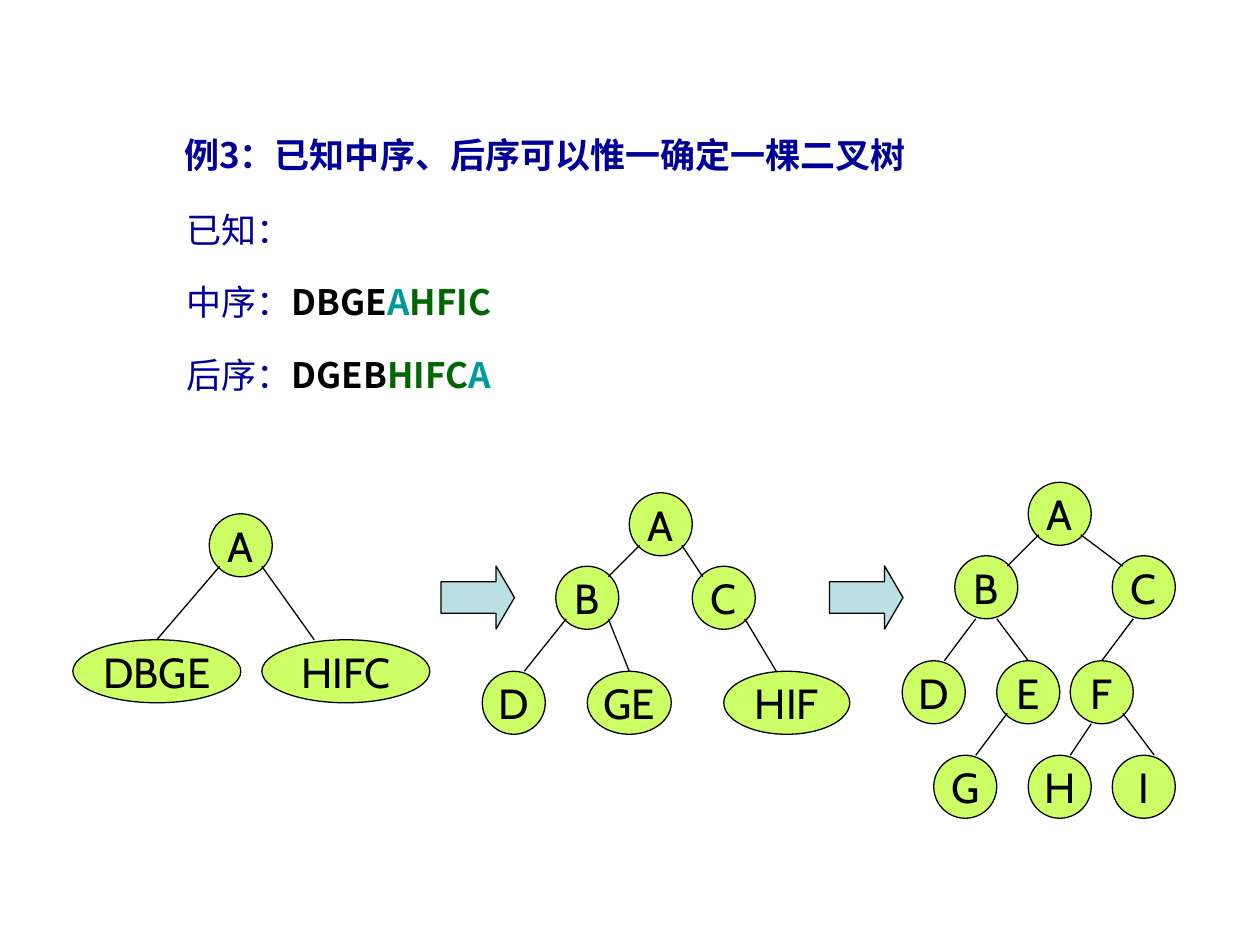
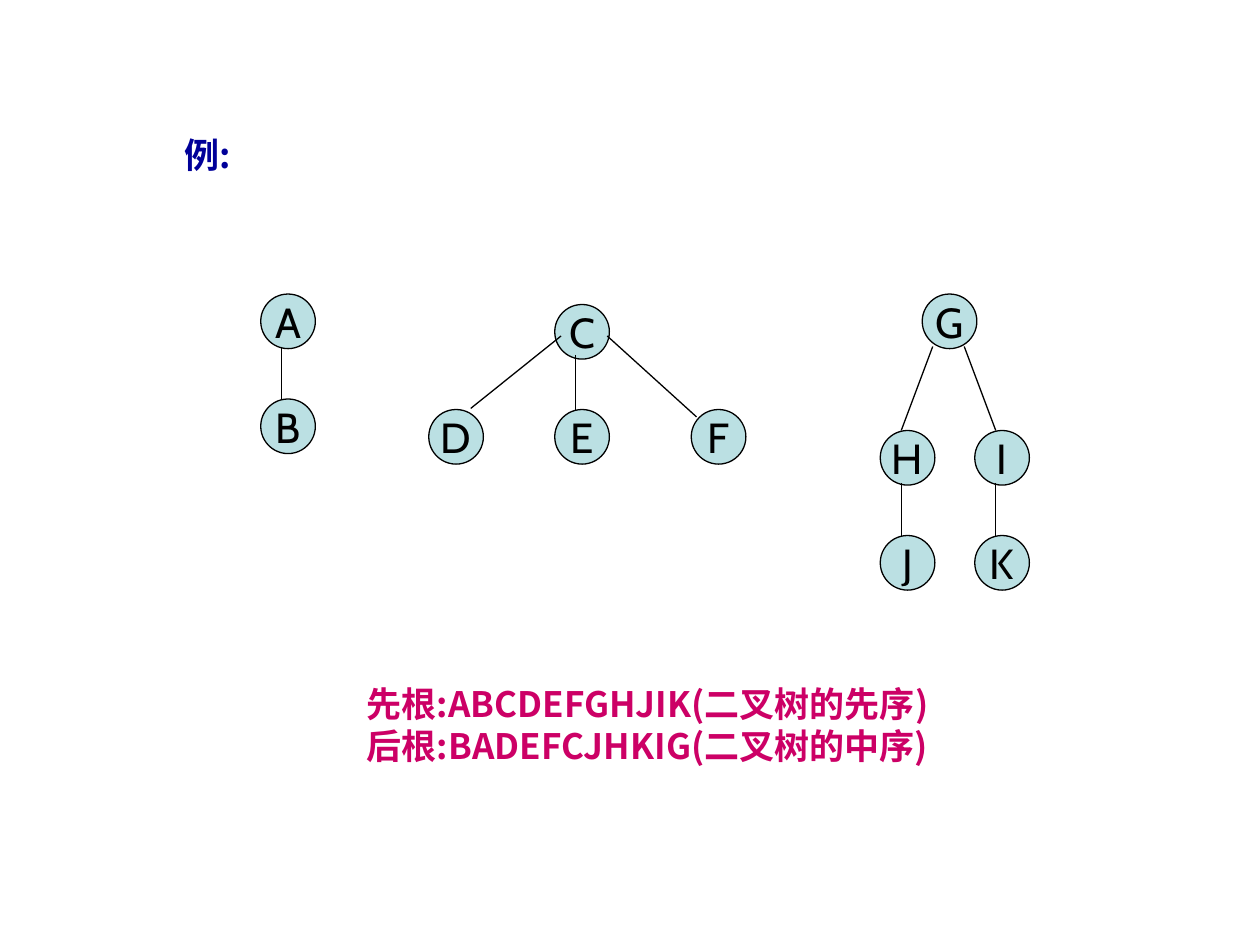
"""Build two slides on determining and traversing binary trees."""
from dataclasses import dataclass

from lxml.etree import SubElement
from pptx import Presentation
from pptx.dml.color import RGBColor
from pptx.enum.shapes import MSO_CONNECTOR as Connector, MSO_SHAPE as Shape
from pptx.enum.text import MSO_ANCHOR as Anchor, MSO_AUTO_SIZE as AutoSize, PP_ALIGN as Align
from pptx.oxml.ns import qn
from pptx.util import Pt


@dataclass(frozen=True)
class Theme:
    """Colours, fonts and sizes shared by the slides."""
    navy: str = "000099"
    black: str = "000000"
    teal: str = "009999"
    green: str = "006600"
    magenta: str = "CC0066"
    lime: str = "CCFF66"
    pale_blue: str = "BBE0E3"
    text_font: str = "Noto Sans CJK SC"
    node_font: str = "Cabin"
    text_size: float = 20
    node_size: float = 24
    line_width: float = 0.75
    space_before: float = 12.5
    step: float = 6


THEME = Theme()
TITLE_ONLY = 5

PARTITION_TREES = [
    {"origin": (7, 49),
     "nodes": [("A", 13, 0), ("HIFC", 18, 12, 16), ("DBGE", 0, 12, 16)],
     "edges": [(14, 5, 8, 12), (18, 5, 23, 12)]},
    {"origin": (46, 47),
     "nodes": [("A", 14, 0), ("B", 7, 7), ("C", 20, 7),
               ("D", 0, 17), ("GE", 10, 17, 8), ("HIF", 23, 17, 12)],
     "edges": [(15, 5, 12, 8), (19, 5, 21, 8), (8, 12, 4, 17),
               (12, 12, 14, 17), (25, 12, 28, 17)]},
    {"origin": (86, 46),
     "nodes": [("A", 12, 0), ("B", 5, 7), ("C", 20, 7),
               ("D", 0, 17), ("E", 9, 17), ("F", 16, 17),
               ("G", 3, 26), ("H", 12, 26), ("I", 20, 26)],
     "edges": [(13, 5, 10, 8), (17, 5, 21, 8), (7, 13, 4, 17), (9, 13, 12, 17),
               (22, 13, 19, 17), (10, 22, 7, 26), (18, 23, 16, 26), (21, 22, 24, 26)]},
]
FOREST_TREES = [
    {"origin": (25, 28),
     "nodes": [("A", 0, 0), ("B", 0, 10)],
     "edges": [(2, 5, 2, 10)]},
    {"origin": (41, 29),
     "nodes": [("C", 12, 0), ("D", 0, 10), ("E", 12, 10), ("F", 25, 10)],
     "edges": [(12.6, 3, 4, 9.9), (14, 4.8, 14, 10), (17, 3, 25.5, 10.7)]},
    {"origin": (84, 28),
     "nodes": [("G", 4, 0), ("H", 0, 13), ("I", 9, 13), ("J", 0, 23), ("K", 9, 23)],
     "edges": [(5, 5, 2, 13), (8, 5, 11, 13), (2, 18, 2, 23), (11, 18, 11, 23)]},
]
KNOWN_ORDERS = [
    [("已知：", THEME.navy, False)],
    [("中序：", THEME.navy, False), ("DBGE", THEME.black, True),
     ("A", THEME.teal, True), ("HFIC", THEME.green, True)],
    [("后序：", THEME.navy, False), ("DGEB", THEME.black, True),
     ("HIFC", THEME.green, True), ("A", THEME.teal, True)],
]
TRAVERSALS = [
    [("先根:ABCDEFGHJIK(二叉树的先序)", THEME.magenta, True)],
    [("后根:BADEFCJHKIG(二叉树的中序)", THEME.magenta, True)],
]


def set_formats(target, formats):
    """Set each named attribute of the target."""
    for name, value in formats.items():
        setattr(target, name, value)


def add_run(paragraph, text, color, bold, name=THEME.text_font, size=THEME.text_size):
    """Append a formatted run to a paragraph."""
    run = paragraph.add_run()
    run.text = text
    set_formats(run.font, {"name": name, "size": Pt(size), "bold": bold})
    run.font.color.rgb = RGBColor.from_string(color)
    SubElement(run.font._element, qn("a:ea")).set("typeface", name)


def fill_lines(frame, lines, formats, space_before=0):
    """Write lines of runs, with space before all but the first."""
    for index, runs in enumerate(lines):
        paragraph = frame.add_paragraph() if index else frame.paragraphs[0]
        set_formats(paragraph, {**formats, "space_before": Pt(space_before if index else 0)})
        for run in runs:
            add_run(paragraph, *run)


def style_line(line):
    """Give an outline or connector the thin black stroke."""
    line.color.rgb = RGBColor.from_string(THEME.black)
    line.width = Pt(THEME.line_width)


def add_outlined(slide, kind, box, color):
    """Add a flat filled shape with a thin outline."""
    shape = slide.shapes.add_shape(kind, *map(Pt, box))
    shape.shadow.inherit = False
    shape.fill.solid()
    shape.fill.fore_color.rgb = RGBColor.from_string(color)
    style_line(shape.line)
    return shape


def add_tree(slide, tree, offset, color, node_steps):
    """Place a tree's nodes and edges relative to its grid origin."""
    left, top = (start * THEME.step + shift for start, shift in zip(tree["origin"], offset))
    height = node_steps * THEME.step
    for text, column, row, *wide in tree["nodes"]:
        width = wide[0] * THEME.step if wide else height
        box = (left + column * THEME.step, top + row * THEME.step, width, height)
        frame = add_outlined(slide, Shape.OVAL, box, color).text_frame
        set_formats(frame, {"word_wrap": False, "vertical_anchor": Anchor.MIDDLE})
        node_run = (text, THEME.black, False, THEME.node_font, THEME.node_size)
        fill_lines(frame, [[node_run]], {"alignment": Align.CENTER})
    for x1, y1, x2, y2 in tree["edges"]:
        ends = [Pt(left + x1 * THEME.step), Pt(top + y1 * THEME.step),
                Pt(left + x2 * THEME.step), Pt(top + y2 * THEME.step)]
        connector = slide.shapes.add_connector(Connector.STRAIGHT, *ends)
        style_line(connector.line)
        SubElement(connector._element.spPr, qn("a:effectLst"))


def add_arrow(slide, left, top):
    """Add a block arrow between two stages."""
    box = (left, top, 7 * THEME.step, 6 * THEME.step)
    arrow = add_outlined(slide, Shape.RIGHT_ARROW, box, THEME.pale_blue)
    arrow.adjustments[1] = 0.292


def add_titled_slide(presentation, title, width):
    """Add a slide with its title placed at the shared position."""
    slide = presentation.slides.add_slide(presentation.slide_layouts[TITLE_ONLY])
    shape = slide.shapes.title
    set_formats(shape, {"left": Pt(98), "top": Pt(65.5), "width": Pt(width), "height": Pt(38)})
    set_formats(shape.text_frame, {"word_wrap": True, "vertical_anchor": Anchor.MIDDLE,
                                   "auto_size": AutoSize.SHAPE_TO_FIT_TEXT})
    fill_lines(shape.text_frame, [[(title, THEME.navy, True)]],
               {"alignment": Align.LEFT, "line_spacing": 1.3})
    return slide


def add_text(slide, box, lines, frame_formats, paragraph_formats, space_before=0):
    """Add a text box of formatted lines."""
    frame = slide.shapes.add_textbox(*map(Pt, box)).text_frame
    set_formats(frame, frame_formats)
    fill_lines(frame, lines, paragraph_formats, space_before)


def build_partition_slide(presentation):
    """Show how inorder and postorder determine a tree in stages."""
    slide = add_titled_slide(presentation, "例3：已知中序、后序可以惟一确定一棵二叉树", 484)
    add_text(slide, (99.4, 110.9, 489, 126), KNOWN_ORDERS, {"word_wrap": True},
             {"line_spacing": 1.2}, THEME.space_before)
    for tree in PARTITION_TREES:
        add_tree(slide, tree, (-0.4, -0.4), THEME.lime, 6)
    for left in (252, 474):
        add_arrow(slide, left, 323.5)


def build_forest_slide(presentation):
    """Show a forest with its two traversals."""
    slide = add_titled_slide(presentation, "例:", 325)
    for tree in FOREST_TREES:
        add_tree(slide, tree, (-1, 0), THEME.pale_blue, 5.2)
    add_text(slide, (85, 348, 570, 132), TRAVERSALS,
             {"word_wrap": False, "vertical_anchor": Anchor.MIDDLE},
             {"alignment": Align.CENTER})


def main():
    """Build and save the presentation."""
    presentation = Presentation()
    set_formats(presentation, {"slide_width": Pt(720), "slide_height": Pt(540)})
    build_partition_slide(presentation)
    build_forest_slide(presentation)
    presentation.save("out.pptx")


if __name__ == "__main__":
    main()
